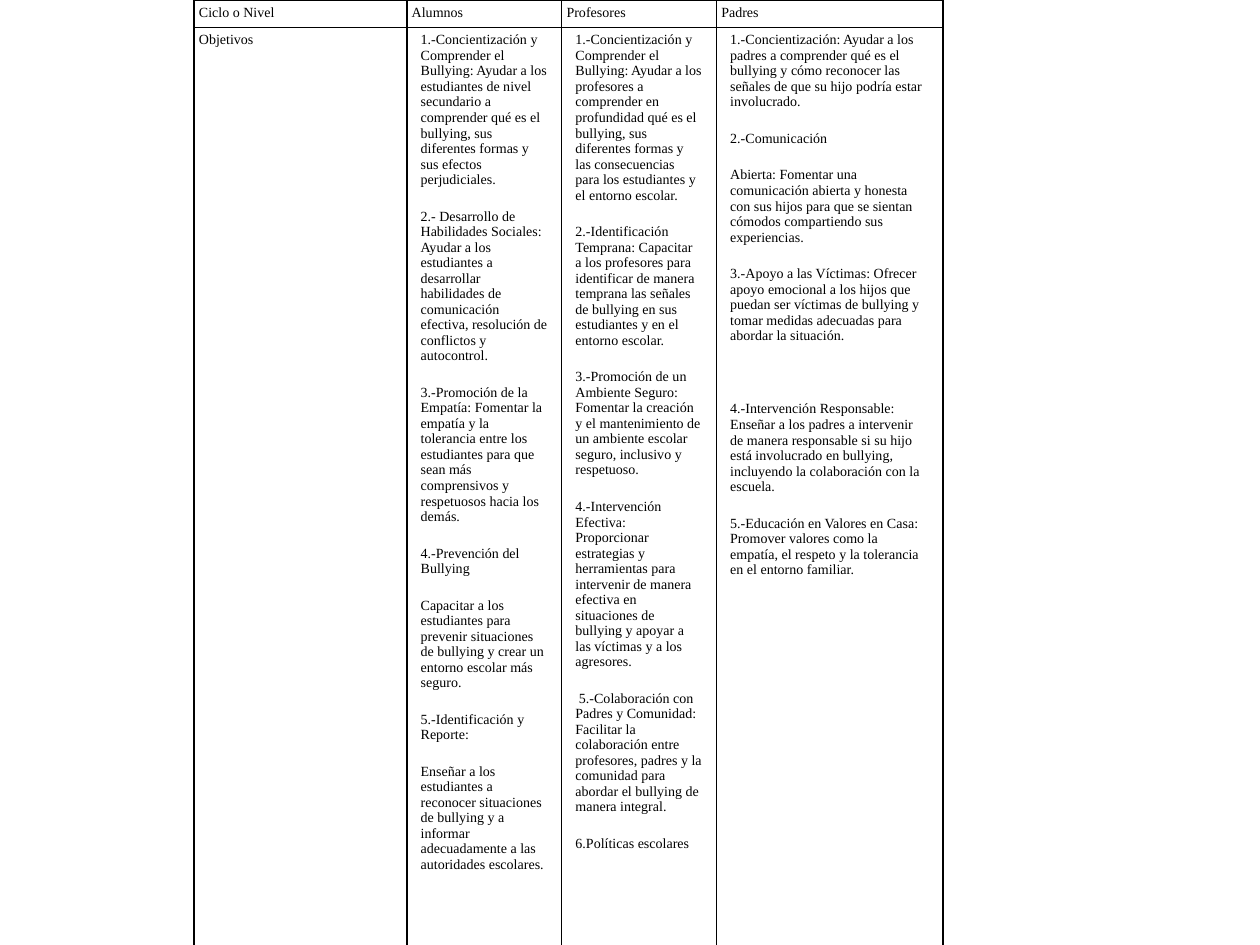
"""Builds a slide with a table of anti-bullying goals for pupils, teachers and parents."""
from lxml import etree
from pptx import Presentation
from pptx.dml.color import RGBColor
from pptx.oxml.ns import qn
from pptx.util import Cm, Pt

COLORS = {"text": "000000", "border": "000000"}
FONT = "Times New Roman"
FONT_SIZE = Pt(8)
MARGIN = Cm(0.1)
INDENT = Cm(0.18)
GAP = 12
WIDE_GAP = 33
COLUMN_WIDTHS = [4.29, 3.12, 3.12, 4.57]
ROW_HEIGHTS = [0.55, 20.19]
BLANK_LAYOUT = 6

HEADERS = ["Ciclo o Nivel", "Alumnos", "Profesores", "Padres"]
ROW_LABEL = "Objetivos"
PUPIL_GOALS = [
    "1.-Concientización y Comprender el Bullying: Ayudar a los estudiantes de nivel secundario a "
    "comprender qué es el bullying, sus diferentes formas y sus efectos perjudiciales.",
    "2.- Desarrollo de Habilidades Sociales: Ayudar a los estudiantes a desarrollar habilidades de "
    "comunicación efectiva, resolución de conflictos y autocontrol.",
    "3.-Promoción de la Empatía: Fomentar la empatía y la tolerancia entre los estudiantes para que "
    "sean más comprensivos y respetuosos hacia los demás.",
    "4.-Prevención del Bullying",
    "Capacitar a los estudiantes para prevenir situaciones de bullying y crear un entorno escolar "
    "más seguro.",
    "5.-Identificación y Reporte:",
    "Enseñar a los estudiantes a reconocer situaciones de bullying y a informar adecuadamente a las "
    "autoridades escolares.",
]
TEACHER_GOALS = [
    "1.-Concientización y Comprender el Bullying: Ayudar a los profesores a comprender en "
    "profundidad qué es el bullying, sus diferentes formas y las consecuencias para los estudiantes "
    "y el entorno escolar.",
    "2.-Identificación Temprana: Capacitar a los profesores para identificar de manera temprana las "
    "señales de bullying en sus estudiantes y en el entorno escolar.",
    "3.-Promoción de un Ambiente Seguro: Fomentar la creación y el mantenimiento de un ambiente "
    "escolar seguro, inclusivo y respetuoso.",
    "4.-Intervención Efectiva: Proporcionar estrategias y herramientas para intervenir de manera "
    "efectiva en situaciones de bullying y apoyar a las víctimas y a los agresores.",
    "\u00a05.-Colaboración con Padres y Comunidad: Facilitar la colaboración entre profesores, "
    "padres y la comunidad para abordar el bullying de manera integral.",
    "6.Políticas escolares",
]
PARENT_GOALS = [
    "1.-Concientización: Ayudar a los padres a comprender qué es el bullying y cómo reconocer las "
    "señales de que su hijo podría estar involucrado.",
    "2.-Comunicación",
    "Abierta: Fomentar una comunicación abierta y honesta con sus hijos para que se sientan cómodos "
    "compartiendo sus experiencias.",
    "3.-Apoyo a las Víctimas: Ofrecer apoyo emocional a los hijos que puedan ser víctimas de "
    "bullying y tomar medidas adecuadas para abordar la situación.",
    "4.-Intervención Responsable: Enseñar a los padres a intervenir de manera responsable si su "
    "hijo está involucrado en bullying, incluyendo la colaboración con la escuela.",
    "5.-Educación en Valores en Casa: Promover valores como la empatía, el respeto y la tolerancia "
    "en el entorno familiar.",
]
ROWS = [
    [[header] for header in HEADERS],
    [[ROW_LABEL], PUPIL_GOALS, TEACHER_GOALS, PARENT_GOALS],
]
WIDE_GAP_BEFORE = PARENT_GOALS[4]


def add_borders(cell):
    properties = cell._tc.get_or_add_tcPr()
    for position, side in enumerate(("lnL", "lnR", "lnT", "lnB")):
        line = etree.Element(qn(f"a:{side}"), w=str(Pt(1)))
        fill = etree.SubElement(line, qn("a:solidFill"))
        etree.SubElement(fill, qn("a:srgbClr"), val=COLORS["border"])
        properties.insert(position, line)


def fill_cell(cell, texts, is_goals):
    cell.margin_left = cell.margin_right = MARGIN
    cell.margin_top = cell.margin_bottom = MARGIN
    cell.fill.background()
    add_borders(cell)
    cell.text_frame.text = "\n".join(texts)
    for para in cell.text_frame.paragraphs:
        if is_goals:
            para.space_before = Pt(WIDE_GAP if para.text == WIDE_GAP_BEFORE else GAP)
            properties = para._p.get_or_add_pPr()
            properties.set("marL", str(INDENT))
            properties.set("marR", str(INDENT))
            properties.set("indent", "0")
        for span in para.runs:
            span.font.name = FONT
            span.font.size = FONT_SIZE
            span.font.color.rgb = RGBColor.from_string(COLORS["text"])


deck = Presentation()
deck.slide_width, deck.slide_height = Cm(25.4), Cm(19.05)
page = deck.slides.add_slide(deck.slide_layouts[BLANK_LAYOUT])
table = page.shapes.add_table(
    len(ROWS), len(HEADERS), Cm(3.91), Cm(0), Cm(sum(COLUMN_WIDTHS)), Cm(sum(ROW_HEIGHTS))
).table
table.first_row = table.horz_banding = False
for column, width in zip(table.columns, COLUMN_WIDTHS):
    column.width = Cm(width)
for row, height in zip(table.rows, ROW_HEIGHTS):
    row.height = Cm(height)
for row_index, row in enumerate(ROWS):
    for column_index, texts in enumerate(row):
        fill_cell(table.cell(row_index, column_index), texts, row_index > 0 and column_index > 0)

deck.save("out.pptx")
